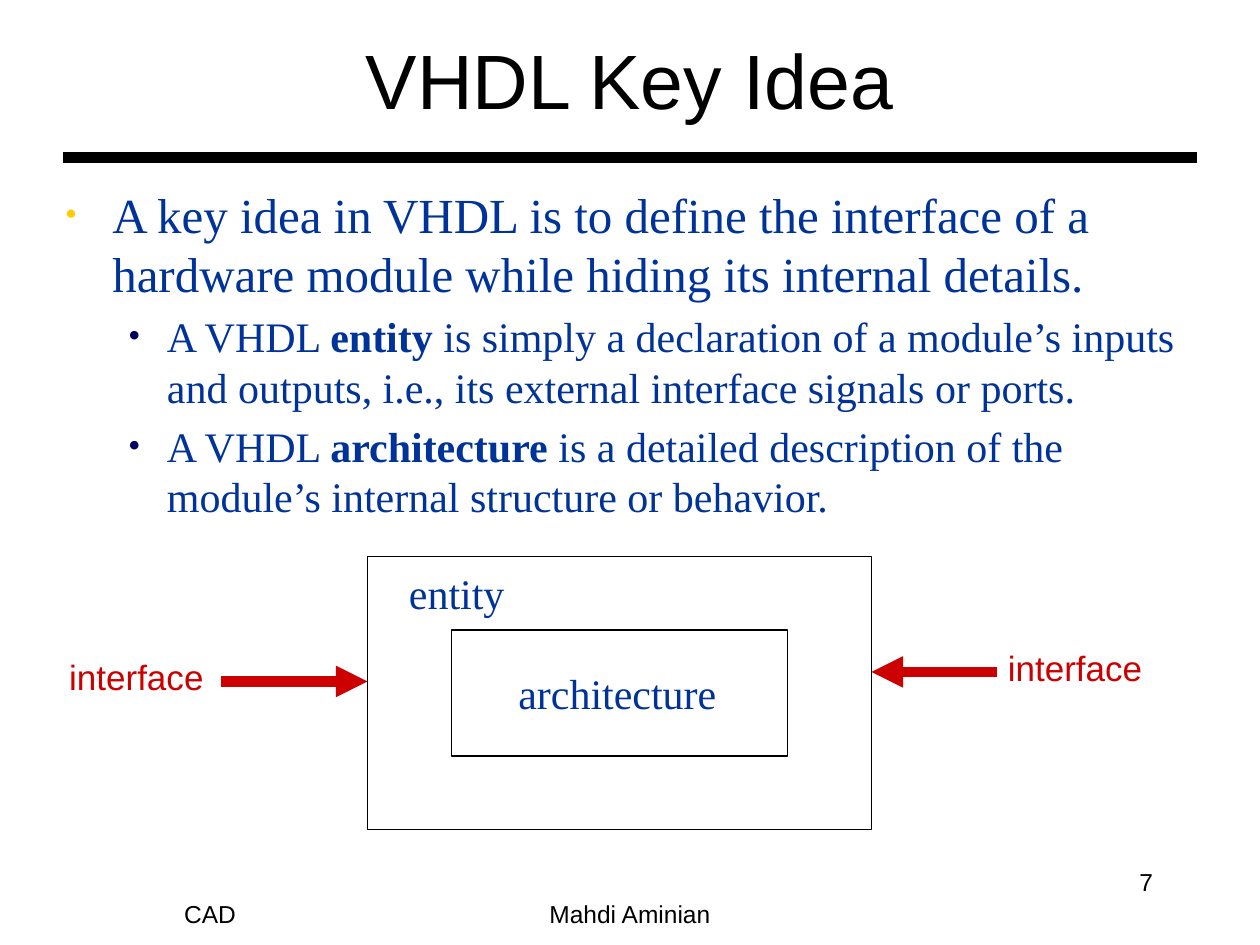
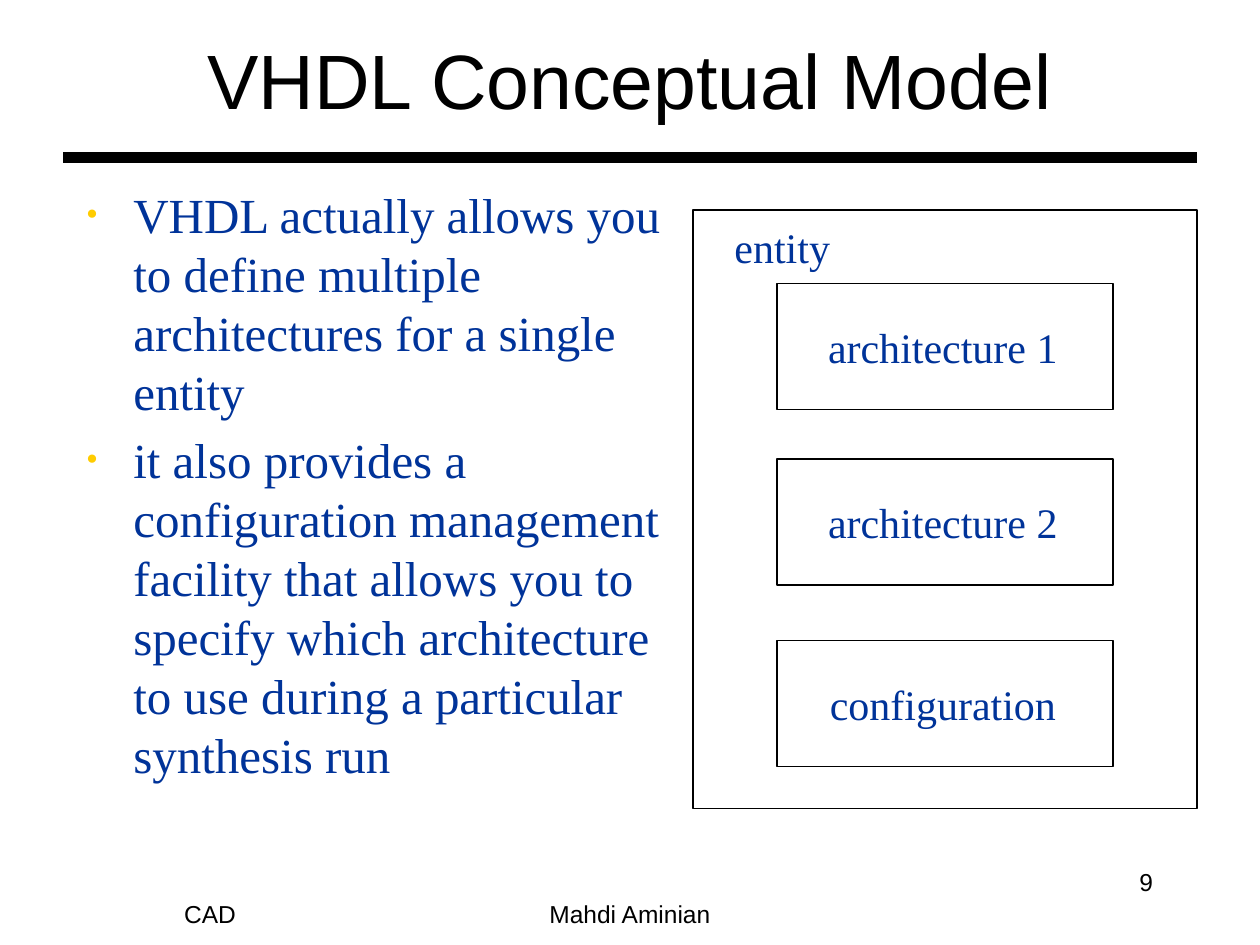
import pptx
import pptx.dml.color
import pptx.enum.shapes
import pptx.enum.text
import pptx.util
from lxml import etree
from pptx.oxml.ns import qn

ALIGN = pptx.enum.text.PP_ALIGN
ANCHOR = pptx.enum.text.MSO_ANCHOR
SANS, SERIF = "Arial", "Times New Roman"
BLACK, WHITE, BLUE, RED = "000000", "FFFFFF", "003399", "CC0000"

TITLE = dict(name=SANS, size=44, color=BLACK)
FOOT = dict(name=SANS, size=14, color=BLACK)
PART = dict(name=SERIF, size=24, color=BLUE)
PORT = dict(name=SANS, size=20, color=RED)
LEVELS = [
    dict(size=28, left=45, hang=45, dot="FFCC00", scale=70),
    dict(size=24, left=97, hang=37, dot="000063", scale=85),
]


def px(n):
    """Turn px (120 to the inch) into EMU."""
    return pptx.util.Emu(n * 7620)


def rgb(code):
    return pptx.dml.color.RGBColor.from_string(code)


def style(font, form):
    for key, value in form.items():
        if key == "color":
            font.color.rgb = rgb(value)
        else:
            setattr(font, key, pptx.util.Pt(value) if key == "size" else value)


def place(shape, *box):
    for key, n in zip(("left", "top", "width", "height"), box):
        setattr(shape, key, px(n))


def bullet(para, level):
    props = para._p.get_or_add_pPr()
    props.set("marL", str(px(level["left"])))
    props.set("indent", str(-px(level["hang"])))
    tint = etree.SubElement(props, qn("a:buClr"))
    etree.SubElement(tint, qn("a:srgbClr"), val=level["dot"])
    etree.SubElement(props, qn("a:buSzPct"), val=str(level["scale"] * 1000))
    etree.SubElement(props, qn("a:buFont"), typeface=SERIF)
    etree.SubElement(props, qn("a:buChar"), char="•")


class Deck:
    def __init__(self):
        self.show = pptx.Presentation()
        self.show.slide_width, self.show.slide_height = px(1200), px(900)

    def page(self, title, number):
        """Start a slide with its title, band and footers."""
        self.slide = self.show.slides.add_slide(self.show.slide_layouts[1])
        self.shapes = self.slide.shapes
        self.line(60, 150, 1140, 150, BLACK)
        head = self.shapes.title
        place(head, 90, 0, 1020, 150)
        self.fill(head, title, TITLE, anchor=ANCHOR.MIDDLE)
        self.text("CAD", 10, 840, 380, 60, FOOT, anchor=ANCHOR.MIDDLE)
        self.text("Mahdi Aminian", 410, 840, 380, 60, FOOT, anchor=ANCHOR.MIDDLE)
        self.text(str(number), 1030, 820, 80, 60, FOOT, ALIGN.RIGHT)

    def fill(self, shape, words, form, align=ALIGN.CENTER, anchor=ANCHOR.TOP):
        frame = shape.text_frame
        frame.auto_size = pptx.enum.text.MSO_AUTO_SIZE.NONE
        frame.word_wrap = True
        frame.vertical_anchor = anchor
        para = frame.paragraphs[0]
        para.alignment = align
        run = para.add_run()
        run.text = words
        style(run.font, form)

    def text(self, words, x, y, w, h, form, align=ALIGN.CENTER, anchor=ANCHOR.TOP):
        box = self.shapes.add_textbox(px(x), px(y), px(w), px(h))
        self.fill(box, words, form, align, anchor)

    def body(self, items, *box):
        """Fill the list from (level, words) pairs; *stars* mark bold."""
        holder = self.slide.placeholders[1]
        place(holder, *box)
        frame = holder.text_frame
        frame.auto_size = pptx.enum.text.MSO_AUTO_SIZE.NONE
        for i, (depth, words) in enumerate(items):
            para = frame.add_paragraph() if i else frame.paragraphs[0]
            level = LEVELS[depth]
            para.level = depth
            bullet(para, level)
            para.space_before = pptx.util.Pt(level["size"] * 0.2 if i else 0)
            for j, piece in enumerate(words.split("*")):
                run = para.add_run()
                run.text = piece
                style(run.font, dict(name=SERIF, size=level["size"],
                                     color=BLUE, bold=j % 2 == 1))

    def line(self, x1, y1, x2, y2, color, arrow=False):
        rule = self.shapes.add_connector(
            pptx.enum.shapes.MSO_CONNECTOR.STRAIGHT, px(x1), px(y1), px(x2), px(y2))
        rule.line.color.rgb = rgb(color)
        rule.line.width = pptx.util.Pt(6)
        props = rule._element.spPr
        if arrow:
            etree.SubElement(props.find(qn("a:ln")), qn("a:tailEnd"), type="triangle")
        etree.SubElement(props, qn("a:effectLst"))

    def rect(self, x, y, w, h):
        box = self.shapes.add_shape(
            pptx.enum.shapes.MSO_SHAPE.RECTANGLE, px(x), px(y), px(w), px(h))
        box.shadow.inherit = False
        box.fill.solid()
        box.fill.fore_color.rgb = rgb(WHITE)
        box.line.color.rgb = rgb(BLACK)
        box.line.width = pptx.util.Pt(1)

    def entity(self, x, y, h, parts):
        """Draw an entity frame holding (name, drop from its top) parts."""
        self.rect(x, y, 480, h)
        self.text("entity", x + 5, y + 5, 160, 60, PART)
        for name, drop in parts:
            self.rect(x + 80, y + drop, 320, 120)
            self.text(name, x + 83, y + drop + 30, 310, 60, PART)


def main():
    deck = Deck()

    deck.page("VHDL Key Idea", 7)
    deck.body([
        (0, "A key idea in VHDL is to define the interface of a hardware module "
            "while hiding its internal details."),
        (1, "A VHDL *entity* is simply a declaration of a module’s inputs and "
            "outputs, i.e., its external interface signals or ports."),
        (1, "A VHDL *architecture* is a detailed description of the module’s "
            "internal structure or behavior."),
    ], 50, 170, 1110, 390)
    deck.entity(350, 530, 260, [("architecture", 70)])
    for start, end, y, left, top in ((210, 350, 649, 40, 618),
                                     (950, 830, 640, 934, 610)):
        deck.line(start, y, end, y, RED, arrow=True)
        deck.text("interface", left, top, 180, 52, PORT)

    deck.page("VHDL Conceptual Model", 9)
    deck.body([
        (0, "VHDL actually allows you to define multiple architectures for a "
            "single entity"),
        (0, "it also provides a configuration management facility that allows you "
            "to specify which architecture to use during a particular synthesis run"),
    ], 70, 170, 600, 640)
    deck.entity(660, 200, 570, [("architecture 1", 70), ("architecture 2", 237),
                                ("configuration", 410)])

    deck.show.save("out.pptx")


if __name__ == "__main__":
    main()
